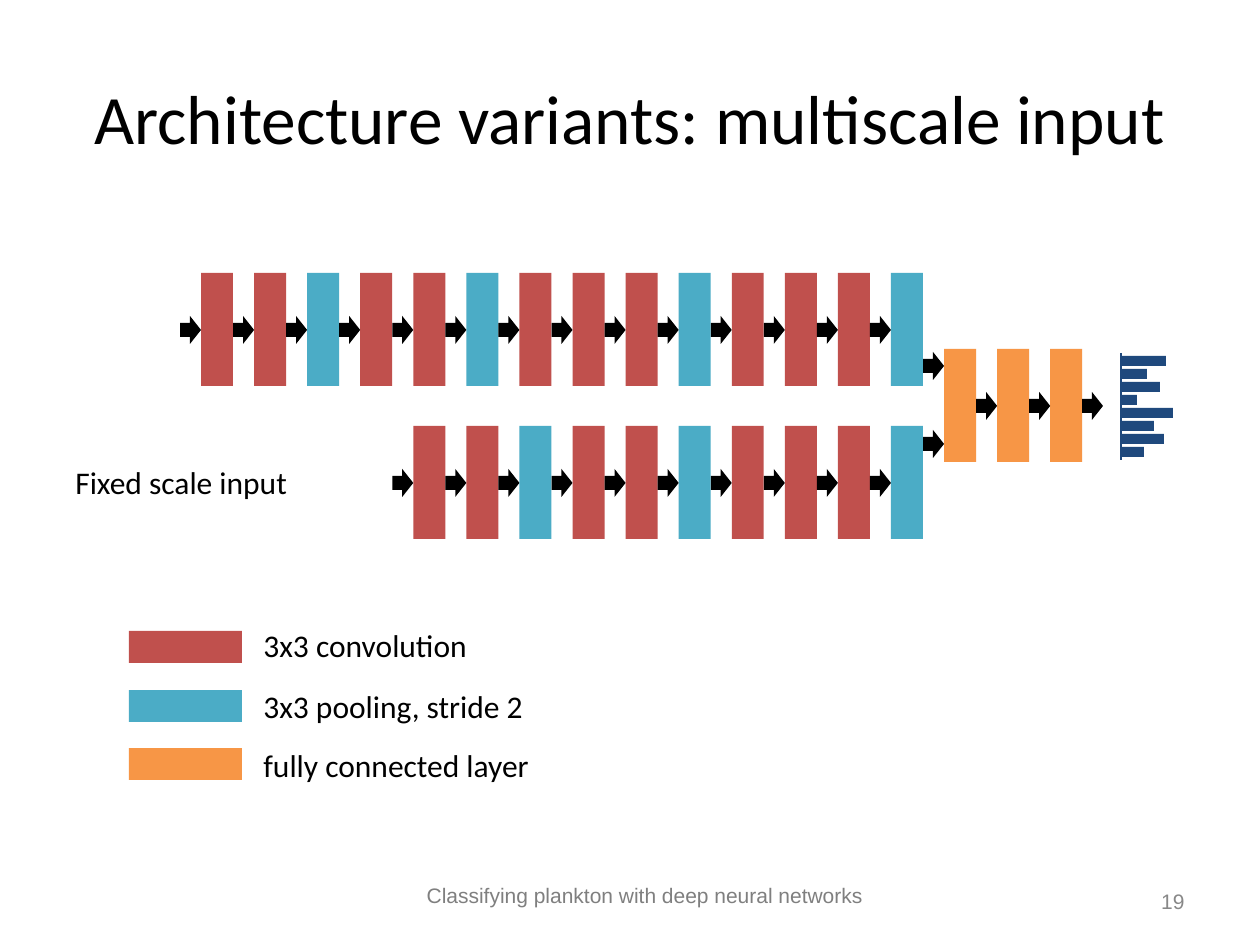
import pptx
import pptx.util
from pptx.dml.color import RGBColor
from pptx.enum.shapes import MSO_CONNECTOR, MSO_SHAPE
from pptx.enum.text import MSO_ANCHOR, PP_ALIGN
from lxml import etree

PX = 914400 / 126
RED = RGBColor(0xC0, 0x50, 0x4D)
TEAL = RGBColor(0x4B, 0xAC, 0xC6)
ORANGE = RGBColor(0xF7, 0x96, 0x46)
NAVY = RGBColor(0x1F, 0x49, 0x7D)
BLACK = RGBColor(0, 0, 0)
FOOTER_GRAY = RGBColor(0x7F, 0x7F, 0x7F)
NUMBER_GRAY = RGBColor(0x88, 0x88, 0x88)

FIRST_LAYER = 201
LAYER_PITCH = 690 / 13
LAYER_WIDTH, LAYER_HEIGHT = 32, 113
ARROW_WIDTH, ARROW_HEIGHT = 21, 28


def add_block(kind, left, top, width, height, color):
    box = [round(value * PX) for value in (left, top, width, height)]
    shape = slide.shapes.add_shape(kind, *box)
    shape.shadow.inherit = False
    shape.fill.solid()
    shape.fill.fore_color.rgb = color
    shape.line.fill.background()
    if kind == MSO_SHAPE.RIGHT_ARROW:
        shape.adjustments[0] = 0.5
        shape.adjustments[1] = 0.525


def write_text(shape, text, left, top, width, height, font, size, color,
               align=PP_ALIGN.LEFT, anchor=MSO_ANCHOR.TOP):
    shape.left, shape.top, shape.width, shape.height = [
        round(value * PX) for value in (left, top, width, height)]
    frame = shape.text_frame
    frame.word_wrap = True
    frame.vertical_anchor = anchor
    frame.text = text
    paragraph = frame.paragraphs[0]
    paragraph.alignment = align
    run = paragraph.runs[0]
    run.font.name = font
    run.font.size = pptx.util.Pt(size)
    run.font.color.rgb = color


presentation = pptx.Presentation()
presentation.slide_width = round(1260 * PX)
presentation.slide_height = round(945 * PX)
slide = presentation.slides.add_slide(presentation.slide_layouts[5])

write_text(slide.shapes.title, "Architecture variants: multiscale input",
           63, 38, 1134, 157, "Calibri", 39.6, BLACK,
           PP_ALIGN.CENTER, MSO_ANCHOR.MIDDLE)

branches = [
    (0, 273, 316, [RED, RED, TEAL] * 2 + [RED, RED, RED, TEAL] * 2),
    (4, 426, 469, [RED, RED, TEAL] + [RED, RED, TEAL] + [RED, RED, RED, TEAL]),
    (14, 349, 392, [ORANGE] * 3),
]
for first_slot, top, arrow_top, colors in branches:
    for slot, color in enumerate(colors, first_slot):
        left = FIRST_LAYER + slot * LAYER_PITCH
        add_block(MSO_SHAPE.RECTANGLE, left, top, LAYER_WIDTH, LAYER_HEIGHT, color)
        arrow_tops = [352, 430] if slot == 14 else [arrow_top]
        for arrow_y in arrow_tops:
            add_block(MSO_SHAPE.RIGHT_ARROW, left - ARROW_WIDTH, arrow_y,
                      ARROW_WIDTH, ARROW_HEIGHT, BLACK)
add_block(MSO_SHAPE.RIGHT_ARROW, 1082, 392, ARROW_WIDTH, ARROW_HEIGHT, BLACK)

for row, length in enumerate([45, 26, 39, 16, 52, 33, 43, 23]):
    add_block(MSO_SHAPE.RECTANGLE, 1121, 356 + 13 * row, length, 10, NAVY)
axis = slide.shapes.add_connector(
    MSO_CONNECTOR.STRAIGHT,
    *[round(value * PX) for value in (1121, 353, 1121, 460)])
axis.line.color.rgb = NAVY
axis.line.width = pptx.util.Pt(1)
etree.SubElement(axis._element.spPr, pptx.oxml.ns.qn("a:effectLst"))

legend = [
    ("3x3 convolution", RED, 631, 620, 232),
    ("3x3 pooling, stride 2", TEAL, 690, 681, 289),
    ("fully connected layer", ORANGE, 748, 740, 295),
]
for text, color, swatch_top, text_top, width in legend:
    add_block(MSO_SHAPE.RECTANGLE, 129, swatch_top, LAYER_HEIGHT, LAYER_WIDTH, color)
    write_text(slide.shapes.add_textbox(0, 0, 0, 0), text,
               251, text_top, width, 50, "Calibri", 18, BLACK)

write_text(slide.shapes.add_textbox(0, 0, 0, 0), "Fixed scale input",
           63, 457, 239, 50, "Calibri", 18, BLACK)
write_text(slide.shapes.add_textbox(0, 0, 0, 0),
           "Classifying plankton with deep neural networks",
           158, 876, 974, 38, "Arial", 12, FOOTER_GRAY, PP_ALIGN.CENTER)
write_text(slide.shapes.add_textbox(0, 0, 0, 0), "19",
           1074, 876, 123, 50, "Arial", 12, NUMBER_GRAY,
           PP_ALIGN.RIGHT, MSO_ANCHOR.MIDDLE)

presentation.save("out.pptx")
